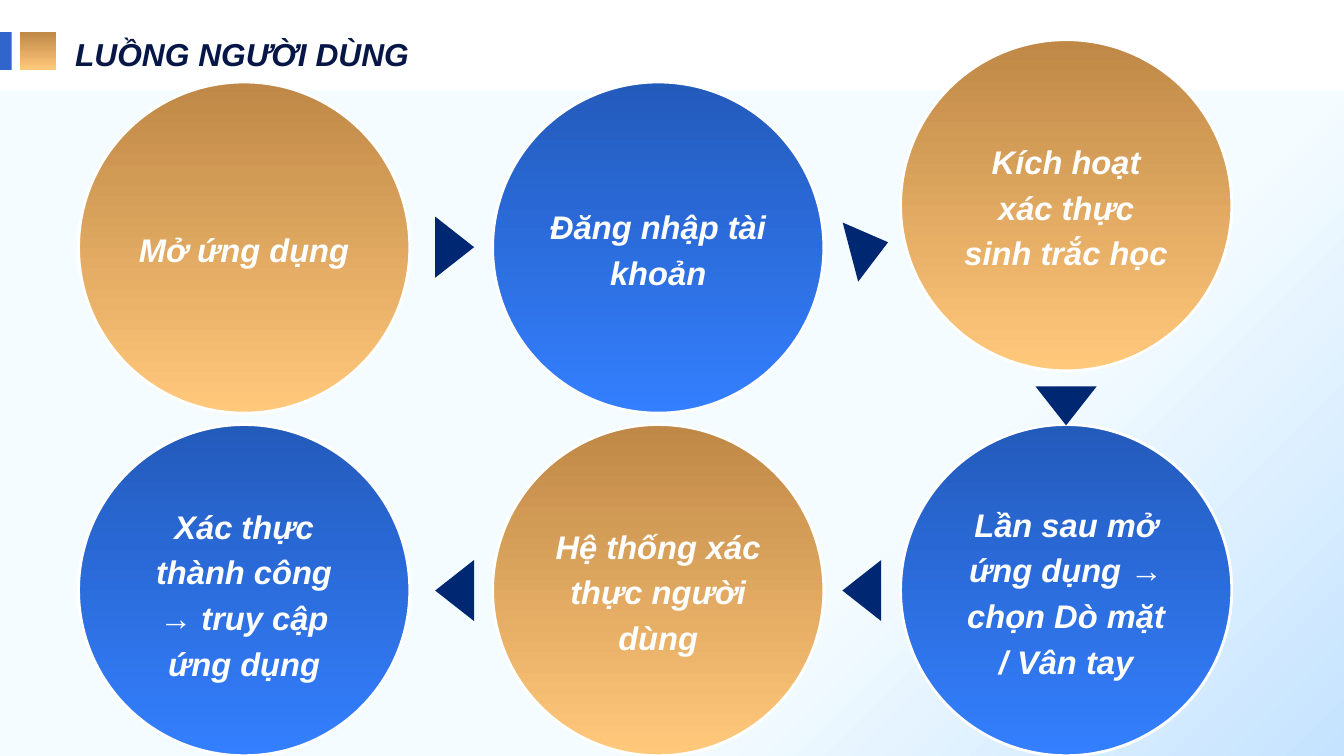
from pptx import Presentation
from pptx import util as u
from pptx.dml.color import RGBColor
from pptx.enum import shapes, text
from pptx.oxml import parse_xml
from pptx.oxml.ns import nsdecls, qn

WHITE = RGBColor(0xFF, 0xFF, 0xFF)
NAVY = RGBColor(0x00, 0x27, 0x72)
TITLE_NAVY = RGBColor(0x06, 0x16, 0x47)
ACCENT_BLUE = RGBColor(0x30, 0x65, 0xCB)
ICE = RGBColor(0xF5, 0xFC, 0xFF)
SKY = RGBColor(0xC5, 0xE3, 0xFF)
GOLD = (RGBColor(0xC0, 0x88, 0x46), RGBColor(0xFF, 0xC8, 0x7B))
BLUE = (RGBColor(0x23, 0x5B, 0xBB), RGBColor(0x34, 0x7F, 0xFF))
CIRCLE = 12.52
LINE_HEIGHT = 1.7

presentation = Presentation()
presentation.slide_width = u.Cm(50.8)
presentation.slide_height = u.Cm(28.58)
slide = presentation.slides.add_slide(presentation.slide_layouts[5])


def add_filled(kind, left, top, width, height, colors):
    shape = slide.shapes.add_shape(kind, u.Cm(left), u.Cm(top), u.Cm(width), u.Cm(height))
    shape.shadow.inherit = False
    shape.line.fill.background()
    if len(colors) == 1:
        shape.fill.solid()
        shape.fill.fore_color.rgb = colors[0]
    else:
        shape.fill.gradient()
        shape.fill.gradient_angle = 270
        for stop, color in zip(shape.fill.gradient_stops, colors):
            stop.color.rgb = color
    return shape


def write_text(shape, words, size, spacing, color, alignment):
    frame = shape.text_frame
    frame.word_wrap = True
    frame.auto_size = text.MSO_AUTO_SIZE.NONE
    frame.vertical_anchor = text.MSO_ANCHOR.TOP
    frame.margin_left = frame.margin_right = frame.margin_top = frame.margin_bottom = 0
    paragraph = frame.paragraphs[0]
    paragraph.alignment = alignment
    paragraph.line_spacing = u.Pt(spacing)
    run = paragraph.add_run()
    run.text = words
    run.font.name = "Arial"
    run.font.size = u.Pt(size)
    run.font.bold = run.font.italic = True
    run.font.color.rgb = color


slide.background.fill.gradient()
gradient = slide.element.find(".//" + qn("a:gradFill"))
for child in list(gradient):
    gradient.remove(child)
stops = "".join(
    f'<a:gs pos="{position}000"><a:srgbClr val="{color}"/></a:gs>'
    for position, color in ((0, ICE), (33, ICE), (67, ICE), (100, SKY))
)
gradient.append(parse_xml(f'<a:gsLst {nsdecls("a")}>{stops}</a:gsLst>'))
gradient.append(parse_xml(
    f'<a:path {nsdecls("a")} path="circle"><a:fillToRect r="100000" b="100000"/></a:path>'
))

rectangle = shapes.MSO_SHAPE.RECTANGLE
add_filled(rectangle, -0.53, -0.56, 52, 3.98, [WHITE])
add_filled(rectangle, -0.53, 1.22, 0.97, 1.42, [ACCENT_BLUE])
gold_square = add_filled(rectangle, 0.74, 1.22, 1.37, 1.42, GOLD)

title = slide.shapes.title
title.left, title.top, title.width, title.height = u.Cm(2.84), u.Cm(1.07), u.Cm(28.27), u.Cm(1.57)
write_text(title, "LUỒNG NGƯỜI DÙNG", 34, 47.6, TITLE_NAVY, text.PP_ALIGN.LEFT)
gold_square.element.addnext(title.element)

steps = [
    ("Mở ứng dụng", 2.97, 3.1, GOLD, 8.46, 9.91, 1),
    ("Đăng nhập tài khoản", 18.62, 3.1, BLUE, 7.57, 8.92, 2),
    ("Kích hoạt xác thực sinh trắc học", 34.04, 1.5, GOLD, 5.11, 7.82, 3),
    ("Lần sau mở ứng dụng → chọn Dò mặt / Vân tay", 34.04, 16.05, BLUE, 18.82, 7.82, 4),
    ("Hệ thống xác thực người dùng", 18.62, 16.05, GOLD, 19.66, 7.82, 3),
    ("Xác thực thành công → truy cập ứng dụng", 2.97, 16.05, BLUE, 18.9, 7.82, 4),
]
for words, left, top, colors, text_top, text_width, lines in steps:
    circle = add_filled(shapes.MSO_SHAPE.OVAL, left, top, CIRCLE, CIRCLE, colors)
    circle.line.color.rgb = WHITE
    circle.line.width = u.Pt(3)
    label = slide.shapes.add_textbox(
        u.Cm(left + (CIRCLE - text_width) / 2), u.Cm(text_top),
        u.Cm(text_width), u.Cm(lines * LINE_HEIGHT),
    )
    write_text(label, words, 35, 49, WHITE, text.PP_ALIGN.CENTER)

arrows = [
    (16.03, 8.61, 90),
    (31.7, 8.61, 75.3),
    (39.14, 14.61, 180),
    (31.42, 21.59, 270),
    (16.03, 21.59, 270),
]
for left, top, rotation in arrows:
    arrow = add_filled(shapes.MSO_SHAPE.ISOSCELES_TRIANGLE, left, top, 2.31, 1.47, [NAVY])
    arrow.rotation = rotation

presentation.save("out.pptx")
